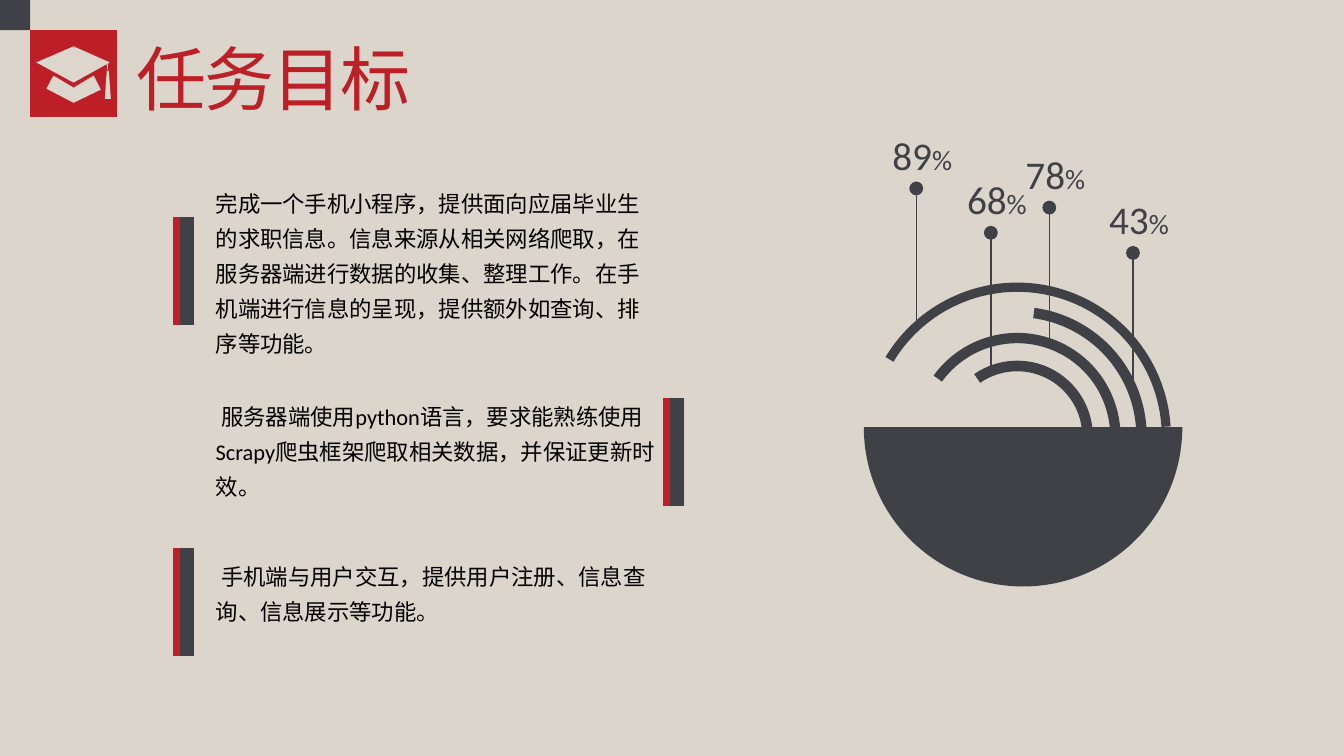
from dataclasses import dataclass

from lxml.etree import SubElement
from pptx import Presentation
from pptx.dml.color import RGBColor
from pptx.enum.shapes import MSO_CONNECTOR, MSO_SHAPE
from pptx.enum.text import MSO_AUTO_SIZE
from pptx.oxml.ns import qn
from pptx.util import Inches, Pt

COLUMNS, ROWS = 160, 90


@dataclass(frozen=True)
class Theme:
    paper: str = "DCD5CB"
    cap: str = "DCD6CC"
    dark: str = "404146"
    red: str = "BC1F26"
    black: str = "000000"
    latin: str = "Calibri"
    chinese: str = "Noto Sans CJK SC"
    title: int = 50
    body: int = 16
    number: int = 28
    percent: int = 20


def apply(target, values):
    for name, value in values.items():
        setattr(target, name, value)


class SlideBuilder:
    def __init__(self, deck, theme):
        self.theme = theme
        self.cell = deck.slide_width / COLUMNS
        self.slide = deck.slides.add_slide(deck.slide_layouts[6])
        background = self.slide.background.fill
        background.solid()
        background.fore_color.rgb = RGBColor.from_string(theme.paper)

    def grid(self, *cells):
        return [round(value * self.cell) for value in cells]

    def paint(self, shape, color):
        shape.shadow.inherit = False
        shape.fill.solid()
        shape.fill.fore_color.rgb = RGBColor.from_string(color)
        shape.line.fill.background()

    def shape(self, kind, area, color, adjustments=()):
        shape = self.slide.shapes.add_shape(kind, *self.grid(*area))
        for index, value in enumerate(adjustments):
            shape.adjustments[index] = value
        self.paint(shape, color)

    def outline(self, points, color):
        start, *others = [self.grid(*point) for point in points]
        builder = self.slide.shapes.build_freeform(*start)
        builder.add_line_segments(others, close=True)
        self.paint(builder.convert_to_shape(), color)

    def line(self, x, start, end, color, width, dot=False):
        line = self.slide.shapes.add_connector(
            MSO_CONNECTOR.STRAIGHT, *self.grid(x, start, x, end))
        line.line.color.rgb = RGBColor.from_string(color)
        line.line.width = Pt(width)
        if dot:
            SubElement(line.line._get_or_add_ln(), qn("a:tailEnd"),
                       type="oval", w="lg", len="lg")
        SubElement(line._element.spPr, qn("a:effectLst"))

    def text(self, area, spans, color, font, wrap=True, insets=None,
             spacing=None, indent=0, tracking=None):
        box = self.slide.shapes.add_textbox(*self.grid(*area))
        apply(box.text_frame, {"word_wrap": wrap,
                               "auto_size": MSO_AUTO_SIZE.SHAPE_TO_FIT_TEXT,
                               **(insets or {})})
        para = box.text_frame.paragraphs[0]
        if spacing:
            para.line_spacing = spacing
        if indent:
            para._p.get_or_add_pPr().set("indent", str(Pt(indent)))
        for words, size in spans:
            span = para.add_run()
            span.text = words
            apply(span.font, {"name": font, "size": Pt(size)})
            span.font.color.rgb = RGBColor.from_string(color)
            properties = span._r.get_or_add_rPr()
            SubElement(properties, qn("a:ea"), typeface=self.theme.chinese)
            if tracking:
                properties.set("spc", str(tracking))

    def heading(self, words):
        theme = self.theme
        self.text((15.12, 3.6, 35.04, 11.28), [(words, theme.title)], theme.red,
                  theme.chinese, wrap=False, tracking=-150)

    def badge(self):
        theme = self.theme
        self.shape(MSO_SHAPE.RECTANGLE, (0, 0, 3.6, 3.6), theme.dark)
        self.shape(MSO_SHAPE.RECTANGLE, (3.6, 3.6, 10.32, 10.32), theme.red)
        for points in CAP_OUTLINES:
            self.outline(points, theme.cap)
        self.shape(MSO_SHAPE.RECTANGLE, (12.72, 7.44, 0.12, 0.84), theme.cap)

    def goal(self, words, top, height, bar_x, bar_top, indent):
        theme = self.theme
        bottom = bar_top + 12.9
        self.line(bar_x, bar_top, bottom, theme.dark, 10)
        self.line(bar_x - 1.25, bar_top, bottom, theme.red, 5)
        insets = {"margin_left": Inches(0.07), "margin_right": Inches(0.07),
                  "margin_top": Inches(0.04), "margin_bottom": Inches(0.04)}
        self.text((24.84, top, 54.48, height), [(words, theme.body)], theme.black,
                  theme.latin, insets=insets, spacing=1.3, indent=indent)

    def arc(self, diameter, start, thickness):
        left, top = (center - diameter / 2 for center in ARC_CENTER)
        self.shape(MSO_SHAPE.BLOCK_ARC, (left, top, diameter, diameter), self.theme.dark,
                   (start * ANGLE_UNIT, ARC_END * ANGLE_UNIT, thickness))

    def pin(self, number, x, top):
        theme = self.theme
        self.line(x, top + 16.08, top, theme.dark, 1, dot=True)
        self.text((x - 4.02, top - 7.44, 11.64, 6.84),
                  [(number, theme.number), ("%", theme.percent)], theme.dark, theme.latin)


CAP_OUTLINES = [
    [(8.76, 5.52), (13.08, 7.44), (8.76, 9.84), (4.32, 7.44)],
    [(6.36, 9), (8.76, 10.44), (11.16, 9), (12, 10.68), (8.76, 12.24), (5.52, 10.56)],
    [(12.48, 11.76), (13.2, 11.76), (12.96, 8.4), (12.72, 8.4)],
]
GOALS = [
    ("完成一个手机小程序，提供面向应届毕业生的求职信息。信息来源从相关网络爬取，"
     "在服务器端进行数据的收集、整理工作。在手机端进行信息的呈现，"
     "提供额外如查询、排序等功能。", 21.24, 21.96, 22.32, 25.8, 0),
    ("服务器端使用python语言，要求能熟练使用Scrapy爬虫框架爬取相关数据，并保证更新时效。",
     46.56, 14.04, 80.6, 47.4, 4),
    ("手机端与用户交互，提供用户注册、信息查询、信息展示等功能。",
     65.64, 9.36, 22.32, 65.25, 4),
]
ANGLE_UNIT = 0.6
ARC_CENTER = (121.1, 51.95)
ARC_END = 356.3
ARCS = [(18, 235.29, 0.07), (24.6, 215.95, 0.05), (30.84, 277.7, 0.04), (36.6, 211.04, 0.03)]
PINS = [("68", 117.96, 27.72), ("78", 124.92, 24.72),
        ("43", 134.88, 30.12), ("89", 109.08, 22.44)]


def main():
    deck = Presentation()
    apply(deck, {"slide_width": Inches(13.33), "slide_height": Inches(7.5)})
    theme = Theme()
    page = SlideBuilder(deck, theme)
    page.heading("任务目标")
    page.badge()
    for goal in GOALS:
        page.goal(*goal)
    page.shape(MSO_SHAPE.PIE, (102.84, 31.92, 37.92, 37.92), theme.dark,
               (0, 180 * ANGLE_UNIT))
    for arc in ARCS:
        page.arc(*arc)
    for pin in PINS:
        page.pin(*pin)
    deck.save("out.pptx")


if __name__ == "__main__":
    main()
